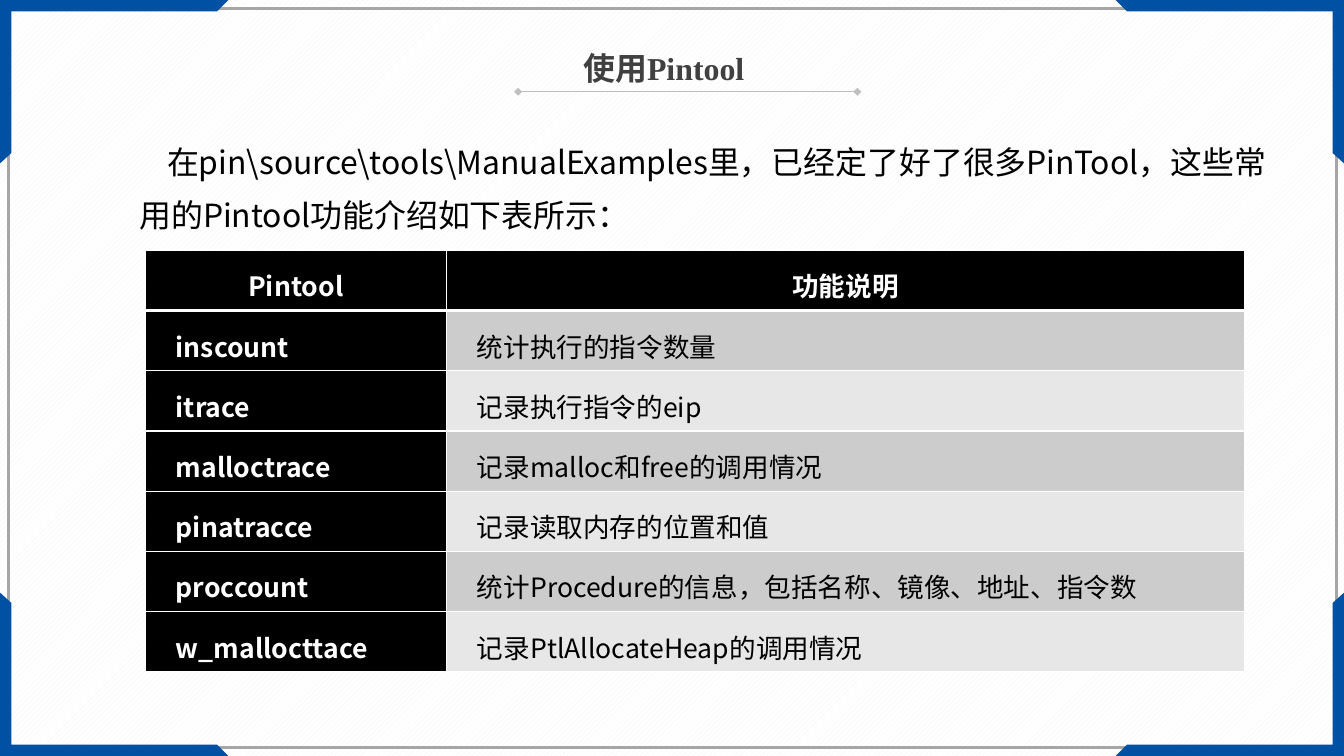
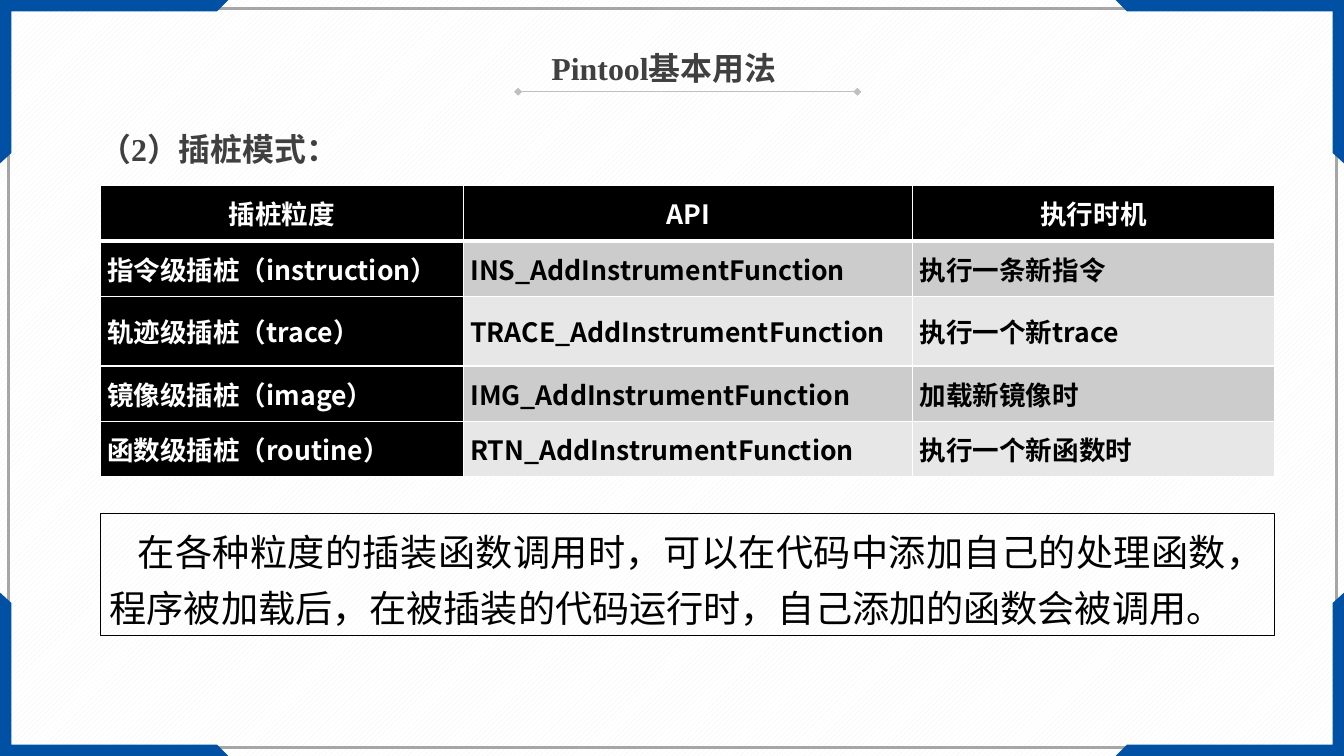
from lxml import etree
from pptx import Presentation
from pptx.dml.color import RGBColor
from pptx.enum.dml import MSO_PATTERN
from pptx.enum.shapes import MSO_CONNECTOR, MSO_SHAPE
from pptx.enum.text import MSO_ANCHOR, MSO_AUTO_SIZE, PP_ALIGN
from pptx.oxml.ns import qn
from pptx.util import Inches, Pt

LEFT, CENTER, JUSTIFY = PP_ALIGN.LEFT, PP_ALIGN.CENTER, PP_ALIGN.JUSTIFY
MIDDLE, TOP = MSO_ANCHOR.MIDDLE, MSO_ANCHOR.TOP
RECTANGLE, STRAIGHT = MSO_SHAPE.RECTANGLE, MSO_CONNECTOR.STRAIGHT
GROW, DIAGONAL = MSO_AUTO_SIZE.SHAPE_TO_FIT_TEXT, MSO_PATTERN.WIDE_UPWARD_DIAGONAL


class Theme:
    width, height = 14.06, 7.91
    serif, sans = "Times New Roman", "Noto Sans CJK SC"
    heading, table, note = 24, 20, 28
    blue, frame, rule, title = "0050A3", "A6A6A6", "BFBFBF", "404040"
    black, white, stripe = "000000", "FFFFFF", "F2F2F2"
    bands = ("CCCCCC", "E7E7E7")


# Content
TOOLS_TITLE = "使用Pintool"
TOOLS_INTRO = ("在pin\\source\\tools\\ManualExamples里，已经定了好了很多PinTool，"
               "这些常用的Pintool功能介绍如下表所示：")
TOOLS = [
    ("Pintool", "功能说明"),
    ("inscount", "统计执行的指令数量"),
    ("itrace", "记录执行指令的eip"),
    ("malloctrace", "记录malloc和free的调用情况"),
    ("pinatracce", "记录读取内存的位置和值"),
    ("proccount", "统计Procedure的信息，包括名称、镜像、地址、指令数"),
    ("w_mallocttace", "记录PtlAllocateHeap的调用情况"),
]
MODES_TITLE = "Pintool基本用法"
MODES_HEADING = "（2）插桩模式："
MODES = [
    ("插桩粒度", "API", "执行时机"),
    ("指令级插桩（instruction）", "INS_AddInstrumentFunction", "执行一条新指令"),
    ("轨迹级插桩（trace）", "TRACE_AddInstrumentFunction", "执行一个新trace"),
    ("镜像级插桩（image）", "IMG_AddInstrumentFunction", "加载新镜像时"),
    ("函数级插桩（routine）", "RTN_AddInstrumentFunction", "执行一个新函数时"),
]
MODES_NOTE = ("在各种粒度的插装函数调用时，可以在代码中添加自己的处理函数，"
              "程序被加载后，在被插装的代码运行时，自己添加的函数会被调用。")

# Top-left corner bracket; the other corners mirror it
BRACKET = [(0, 0), (2.39, 0), (2.27, 0.12), (0.12, 0.12), (0.12, 1.6), (0, 1.71)]


def rgb(color):
    return RGBColor.from_string(color)


def inches(*lengths):
    return [Inches(length) for length in lengths]


# Text
def write(frame, text, size, color=Theme.black, face=Theme.sans, bold=False,
          align=LEFT, indent=0, spacing=1.0):
    paragraph = frame.paragraphs[0]
    paragraph.text = text
    paragraph.alignment = align
    paragraph.line_spacing = spacing
    properties = paragraph._p.get_or_add_pPr()
    properties.set("marL", "0")
    properties.set("indent", str(Inches(indent)))
    font = paragraph.font
    font.size, font.bold, font.name = Pt(size), bold, face
    font.color.rgb = rgb(color)
    east_asian = etree.SubElement(properties.find(qn("a:defRPr")), qn("a:ea"))
    east_asian.set("typeface", Theme.sans)


def add_text(slide, box, text, size, **style):
    frame = slide.shapes.add_textbox(*inches(*box)).text_frame
    frame.word_wrap, frame.auto_size = True, GROW
    frame.vertical_anchor = TOP
    write(frame, text, size, **style)


# Outlined rectangle
def add_outline(slide, box, color, width):
    outline = slide.shapes.add_shape(RECTANGLE, *inches(*box))
    outline.shadow.inherit = False
    outline.fill.background()
    outline.line.color.rgb = rgb(color)
    outline.line.width = Pt(width)
    return outline


# Shared background, frame, corners and title
def add_corner(slide, right, bottom):
    points = [tuple(inches(Theme.width - x if right else x,
                           Theme.height - y if bottom else y)) for x, y in BRACKET]
    builder = slide.shapes.build_freeform(*points[0])
    builder.add_line_segments(points[1:], close=True)
    corner = builder.convert_to_shape()
    corner.shadow.inherit = False
    corner.fill.solid()
    corner.fill.fore_color.rgb = rgb(Theme.blue)
    corner.line.fill.background()


def add_title(slide, title):
    rule = slide.shapes.add_connector(STRAIGHT, *inches(5.42, 0.96, 8.97, 0.96))
    rule.line.color.rgb = rgb(Theme.rule)
    rule.line.width = Pt(0.5)
    for end in ("a:headEnd", "a:tailEnd"):
        etree.SubElement(rule.line._ln, qn(end)).set("type", "diamond")
    etree.SubElement(rule._element.spPr, qn("a:effectLst"))
    add_text(slide, (4.98, 0.46, 3.93, 0.5), title, Theme.heading, color=Theme.title,
             face=Theme.serif, bold=True, align=CENTER)


def new_slide(prs, title):
    slide = prs.slides.add_slide(prs.slide_layouts[6])
    background = slide.background.fill
    background.patterned()
    background.pattern = DIAGONAL
    background.fore_color.rgb = rgb(Theme.stripe)
    background.back_color.rgb = rgb(Theme.white)
    add_outline(slide, (0.09, 0.09, 13.89, 7.73), Theme.frame, 2)
    for right in (False, True):
        for bottom in (False, True):
            add_corner(slide, right, bottom)
    add_title(slide, title)
    return slide


# Tables
def set_borders(cell, top, bottom):
    properties = cell._tc.get_or_add_tcPr()
    for side, width in (("L", 1), ("R", 1), ("T", top), ("B", bottom)):
        border = etree.SubElement(properties, qn(f"a:ln{side}"), w=str(Pt(width)))
        fill = etree.SubElement(border, qn("a:solidFill"))
        etree.SubElement(fill, qn("a:srgbClr"), val=Theme.white)


def add_grid(slide, left, top, widths, heights, rows, bold_body, spacing=1.0, **body):
    table = slide.shapes.add_table(len(rows), len(widths), *inches(
        left, top, sum(widths), sum(heights))).table
    for column, width in zip(table.columns, widths):
        column.width = Inches(width)
    for r, (texts, height) in enumerate(zip(rows, heights)):
        table.rows[r].height = Inches(height)
        for c, text in enumerate(texts):
            cell = table.cell(r, c)
            dark = r == 0 or c == 0
            set_borders(cell, 3 if r == 1 else 1, 3 if r == 0 else 1)
            cell.fill.solid()
            cell.fill.fore_color.rgb = rgb(Theme.black if dark else Theme.bands[(r - 1) % 2])
            cell.vertical_anchor = MIDDLE
            cell.margin_left = cell.margin_right = Inches(0.07)
            cell.margin_top = cell.margin_bottom = 0
            write(cell.text_frame, text, Theme.table,
                  color=Theme.white if dark else Theme.black, bold=dark or bold_body,
                  spacing=spacing, **(body if r else {"align": CENTER}))


# Slides
def add_tools_slide(prs):
    slide = new_slide(prs, TOOLS_TITLE)
    add_text(slide, (1.36, 1.28, 12.1, 1.17), TOOLS_INTRO, Theme.heading,
             indent=0.29, spacing=1.4)
    add_grid(slide, 1.52, 2.62, (3.15, 8.35), [0.63] * len(TOOLS), TOOLS,
             bold_body=False, spacing=1.25, align=JUSTIFY, indent=0.25)


def add_modes_slide(prs):
    slide = new_slide(prs, MODES_TITLE)
    add_text(slide, (0.65, 1.15, 13.23, 0.67), MODES_HEADING, Theme.heading,
             color=Theme.title, face=Theme.serif, bold=True, indent=0.29, spacing=1.4)
    add_grid(slide, 1.05, 1.94, (3.8, 4.7, 3.78), (0.58, 0.58, 0.73, 0.58, 0.58),
             MODES, bold_body=True)
    note = add_outline(slide, (1.05, 5.37, 12.28, 1.28), Theme.black, 0.75).text_frame
    note.word_wrap, note.auto_size = True, GROW
    note.vertical_anchor = TOP
    write(note, MODES_NOTE, Theme.note, align=JUSTIFY, indent=0.29, spacing=1.25)


def main():
    prs = Presentation()
    prs.slide_width, prs.slide_height = inches(Theme.width, Theme.height)
    add_tools_slide(prs)
    add_modes_slide(prs)
    prs.save("out.pptx")


if __name__ == "__main__":
    main()
